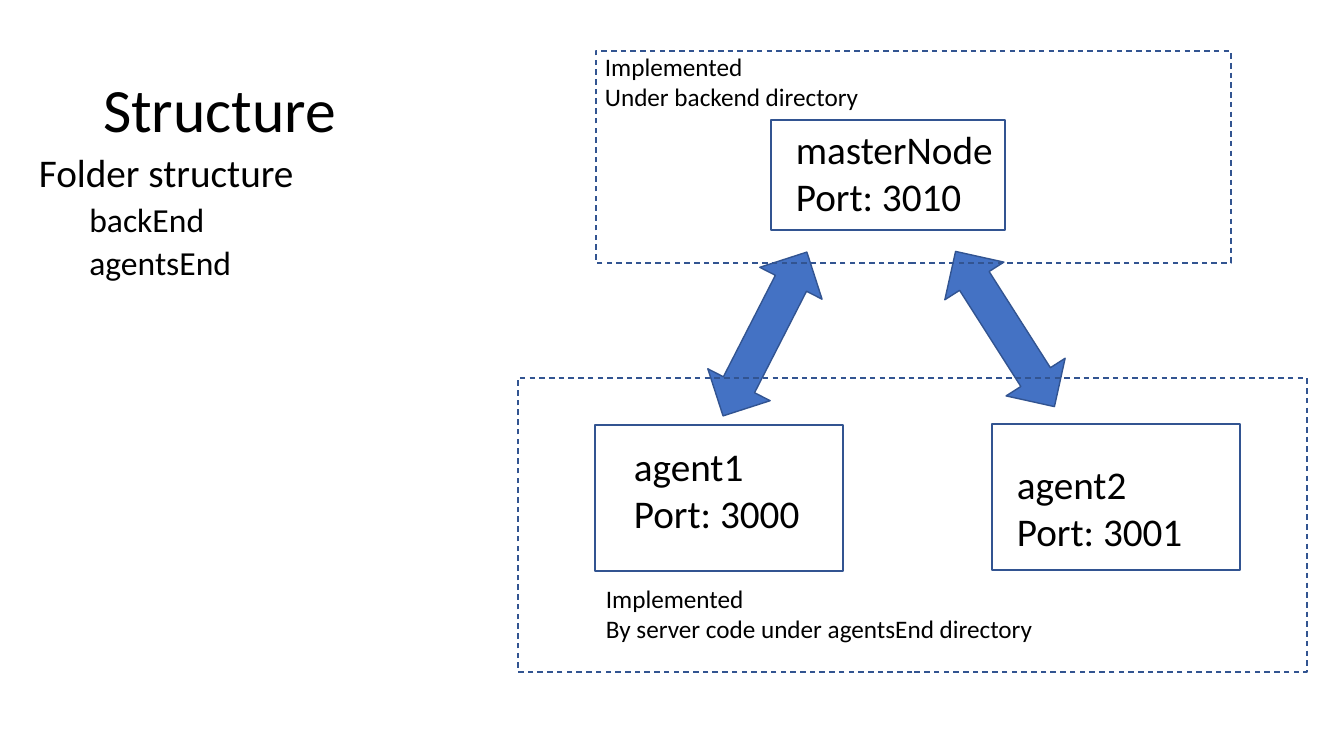
from pptx import Presentation
from pptx import util as u
from pptx.dml.color import RGBColor
from pptx.enum import dml, shapes, text

PX = 914400 / 100.8
BLACK = RGBColor(0x00, 0x00, 0x00)
BLUE = RGBColor(0x44, 0x72, 0xC4)
NAVY = RGBColor(0x32, 0x54, 0x91)
FONT = "Calibri"


def emu(box):
    """Turn pixel lengths into EMU."""
    return [u.Emu(round(n * PX)) for n in box]


def write(frame, lines, size=28, space=None, before=0, indent=0):
    """Add left-aligned lines to a text frame, filling its first empty paragraph."""
    for line in lines:
        para = frame.paragraphs[-1]
        if para.runs:
            para = frame.add_paragraph()
        para.alignment = text.PP_ALIGN.LEFT
        para.line_spacing = space
        para.space_before = u.Pt(before)
        if indent:
            para.level = 1
            props = para._p.get_or_add_pPr()
            props.set("marL", str(u.Inches(indent)))
            props.set("indent", "0")
        run = para.add_run()
        run.text = line
        run.font.name = FONT
        run.font.size = u.Pt(size)
        run.font.color.rgb = BLACK


def shape(slide, kind, box, fill=None, dash=None, turn=0):
    """Draw a navy-outlined shape."""
    item = slide.shapes.add_shape(kind, *emu(box))
    item.shadow.inherit = False
    item.rotation = turn
    if fill is None:
        item.fill.background()
    else:
        item.fill.solid()
        item.fill.fore_color.rgb = fill
    item.line.color.rgb = NAVY
    item.line.width = u.Pt(1)
    if dash:
        item.line.dash_style = dash


def label(slide, box, lines, size=28):
    """Place unwrapped lines of text."""
    frame = slide.shapes.add_textbox(*emu(box)).text_frame
    frame.word_wrap = False
    frame.auto_size = text.MSO_AUTO_SIZE.SHAPE_TO_FIT_TEXT
    write(frame, lines, size)


def node(slide, box, shift, width, name, port):
    """Draw a server box with its name and port shifted inside it."""
    x, y, _, _ = box
    shape(slide, shapes.MSO_SHAPE.RECTANGLE, box)
    label(slide, (x + shift[0], y + shift[1], width, 105), [name, f"Port: {port}"])


def link(slide, box, turn):
    """Draw a two-way arrow between servers."""
    shape(slide, shapes.MSO_SHAPE.UP_DOWN_ARROW, box, fill=BLUE, turn=turn)


def zone(slide, box, shift, width, note):
    """Draw a dashed frame with a note on where it is implemented."""
    x, y, _, _ = box
    shape(slide, shapes.MSO_SHAPE.RECTANGLE, box, dash=dml.MSO_LINE.DASH)
    label(slide, (x + shift[0], y + shift[1], width, 72), ["Implemented", note], 18)


def head(slide, box):
    """Fill the title placeholder."""
    title = slide.shapes.title
    title.left, title.top, title.width, title.height = emu(box)
    frame = title.text_frame
    frame.vertical_anchor = text.MSO_ANCHOR.MIDDLE
    write(frame, ["Structure"], 44, space=0.9)


def outline(slide, box):
    """List the folders."""
    frame = slide.shapes.add_textbox(*emu(box)).text_frame
    frame.word_wrap = True
    write(frame, ["Folder structure"], 28, space=0.9, before=10)
    write(frame, ["backEnd", "agentsEnd"], 24, space=0.9, before=5, indent=0.5)


def diagram(slide, box):
    """Draw the master node, its agents and their frames."""
    x, y, wide, _ = box
    node(slide, (x + 253, y + 69, 234, 110), (15, 0), 219, "masterNode", 3010)
    node(slide, (x + 474, y + 373, 248, 146), (15, 31), 188, "agent2", 3001)
    node(slide, (x + 77, y + 374, 248, 146), (29, 12), 188, "agent1", 3000)
    link(slide, (x + 212, y + 191, 70, 184), 27.1)
    link(slide, (x + 452, y + 186, 70, 184), 327.5)
    zone(slide, (x, y + 327, wide, 294), (78, 200), 452,
         "By server code under agentsEnd directory")
    zone(slide, (x + 78, y, 635, 212), (-1, -5), 277, "Under backend directory")


def main():
    """Build and save the slide."""
    deck = Presentation()
    deck.slide_width, deck.slide_height = emu((1344, 756))
    slide = deck.slides.add_slide(deck.slide_layouts[5])
    head(slide, (93, 40, 1159, 146))
    outline(slide, (29, 149, 572, 480))
    diagram(slide, (518, 51, 789, 621))
    deck.save("out.pptx")


main()
